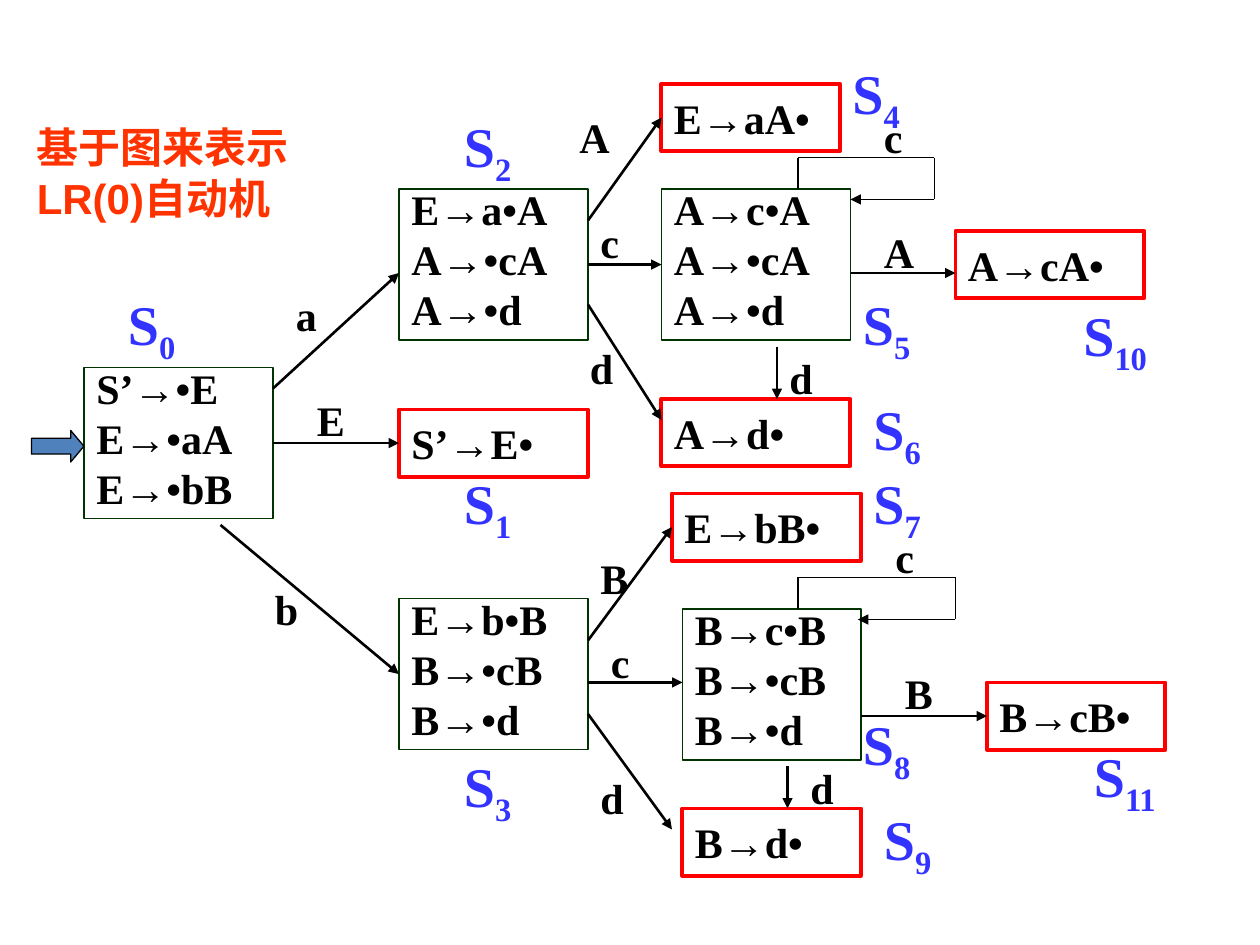
from lxml.etree import SubElement
from pptx import Presentation
from pptx.dml.color import RGBColor
from pptx.enum.shapes import MSO_CONNECTOR as Conn, MSO_SHAPE as Shape
from pptx.enum.text import MSO_ANCHOR as Anchor, PP_ALIGN as Align
from pptx.oxml.ns import qn
from pptx.util import Pt

SCALE = 7620
TOP, LEFT, RIGHT = 0, 1, 3
SERIF = "Times New Roman"
STATES = [
    ("0", "S’→•E E→•aA E→•bB", (80, 350, 180), (110, 270, 110)),
    ("1", "S’→E•", (380, 390, 180), (430, 440, 120)),
    ("2", "E→a•A A→•cA A→•d", (380, 180, 180), (430, 100, 100)),
    ("3", "E→b•B B→•cB B→•d", (380, 570, 180), (430, 710, 110)),
    ("4", "E→aA•", (630, 80, 170), (800, 50, 110)),
    ("5", "A→c•A A→•cA A→•d", (630, 180, 180), (810, 270, 100)),
    ("6", "A→d•", (630, 380, 180), (820, 370, 110)),
    ("7", "E→bB•", (640, 470, 180), (820, 440, 110)),
    ("8", "B→c•B B→•cB B→•d", (650, 580, 170), (810, 670, 130)),
    ("9", "B→d•", (650, 770, 170), (830, 760, 120)),
    ("10", "A→cA•", (910, 220, 180), (1020, 280, 140)),
    ("11", "B→cB•", (940, 650, 170), (1030, 700, 140)),
]
# Each edge: symbol, label spot, start, end, width; an end is a point or (state, side).
EDGES = [
    ("E", (290, 370), ("0", RIGHT), ("1", LEFT), 1.5),
    ("a", (270, 270), (260, 370), (380, 260), 1.5),
    ("b", (250, 550), (210, 500), ("3", LEFT), 1.5),
    ("A", (540, 100), (560, 210), ("4", LEFT), 1.5),
    ("c", (560, 200), ("2", RIGHT), ("5", LEFT), 1.5),
    ("d", (550, 320), (560, 290), (630, 400), 1.5),
    ("B", (560, 520), (560, 610), ("7", LEFT), 1.5),
    ("c", (570, 600), (560, 650), (650, 650), 1.5),
    ("d", (560, 730), (560, 680), (640, 790), 1.5),
    ("A", (830, 210), (810, 260), (910, 260), 0.75),
    ("B", (850, 630), (820, 682), ("11", LEFT), 1.5),
    ("d", (740, 330), (740, 330), (740, 380), 0.75),
    ("d", (760, 720), (750, 730), (750, 770), 1.5),
]


def px(*nums):
    """Turn px lengths into EMU."""
    return [n * SCALE for n in nums]


def tint(code):
    """Turn a hex string into a colour."""
    return RGBColor.from_string(code)


def style(para, size, code, face=SERIF):
    """Set the bold font of a paragraph."""
    font = para.font
    font.size, font.bold, font.name = Pt(size), True, face
    font.color.rgb = tint(code)


def label(shapes, box, text, size=24, code="000000", sub=""):
    """Place a text label with an optional subscript."""
    item = shapes.add_textbox(*px(*box))
    item.text_frame.word_wrap = True
    para = item.text_frame.paragraphs[0]
    para.add_run().text = text
    if sub:
        para.add_run().text = sub
        last = list(item.element.iter(qn("a:r")))[-1]
        last.get_or_add_rPr().set("baseline", "-25000")
    style(para, size, code)


def state(shapes, name, rules, box, spot):
    """Draw one state box with its rules and name."""
    rules = rules.split()
    final = len(rules) == 1
    rect = shapes.add_shape(Shape.RECTANGLE, *px(*box, 64 if final else 144))
    rect.shadow.inherit = False
    rect.fill.background()
    rect.line.color.rgb = tint("FF0000" if final else "003300")
    rect.line.width = Pt(2.25 if final else 0.75)
    frame = rect.text_frame
    frame.word_wrap = True
    frame.vertical_anchor = Anchor.MIDDLE
    for i, rule in enumerate(rules):
        para = frame.add_paragraph() if i else frame.paragraphs[0]
        para.text = rule
        para.alignment = Align.LEFT
        if not final:
            para.line_spacing = 0.75
        if i:
            para.space_before = Pt(7)
        style(para, 24, "000000")
    label(shapes, (*spot, 76), "S", 32, "3333FF", name)
    return rect


def line(shapes, start, end, width, head=True):
    """Draw a straight line, with an arrowhead if asked."""
    wire = shapes.add_connector(Conn.STRAIGHT, *px(*start, *end))
    wire.line.color.rgb = tint("000000")
    wire.line.width = Pt(width)
    props = wire.element.spPr
    if head:
        SubElement(props.find(qn("a:ln")), qn("a:tailEnd"), type="triangle")
    SubElement(props, qn("a:effectLst"))
    return wire


def edge(shapes, rects, sign, spot, start, end, width):
    """Draw a labelled arrow, joined to states where it names them."""
    ends = [(0, 0) if isinstance(e[0], str) else e for e in (start, end)]
    wire = line(shapes, *ends, width)
    for spec, join in ((start, wire.begin_connect), (end, wire.end_connect)):
        if isinstance(spec[0], str):
            join(rects[spec[0]], spec[1])
    label(shapes, (*spot, 60, 60), sign)


def loop(shapes, x, y, w, back, shift):
    """Draw a self loop above a state, labelled c."""
    group = shapes.add_group_shape().shapes
    spots = [(x, y + 30), (x, y), (x + w, y), (x + w, y + 40), (x + back, y + 40)]
    for i, pair in enumerate(zip(spots, spots[1:])):
        line(group, *pair, 0.75, i == 3)
    label(group, (x + shift, y - 50, 60, 60), "c")


def entry(shapes, *box):
    """Draw the block arrow into the first state."""
    mark = shapes.add_shape(Shape.RIGHT_ARROW, *px(*box))
    mark.adjustments[1] = 0.42
    mark.shadow.inherit = False
    mark.fill.solid()
    mark.fill.fore_color.rgb = tint("4F81BD")
    mark.line.color.rgb = tint("000000")
    mark.line.width = Pt(0.75)


def head(title, *box):
    """Place and format the slide title."""
    title.left, title.top, title.width, title.height = px(*box)
    frame = title.text_frame
    frame.text = "基于图来表示LR(0)自动机"
    frame.word_wrap = True
    frame.vertical_anchor = Anchor.TOP
    para = frame.paragraphs[0]
    para.alignment = Align.LEFT
    style(para, 24, "FF3300", "Arial")


def main():
    """Build the slide and save it."""
    deck = Presentation()
    deck.slide_width, deck.slide_height = px(1200, 900)
    slide = deck.slides.add_slide(deck.slide_layouts[5])
    shapes = slide.shapes
    head(shapes.title, 23, 110, 268, 108)
    rects = {row[0]: state(shapes, *row) for row in STATES}
    entry(shapes, 30, 410, 50, 30)
    for row in EDGES:
        edge(shapes, rects, *row)
    loop(shapes, 760, 150, 130, 50, 70)
    loop(shapes, 760, 550, 150, 57, 81)
    deck.save("out.pptx")


if __name__ == "__main__":
    main()
